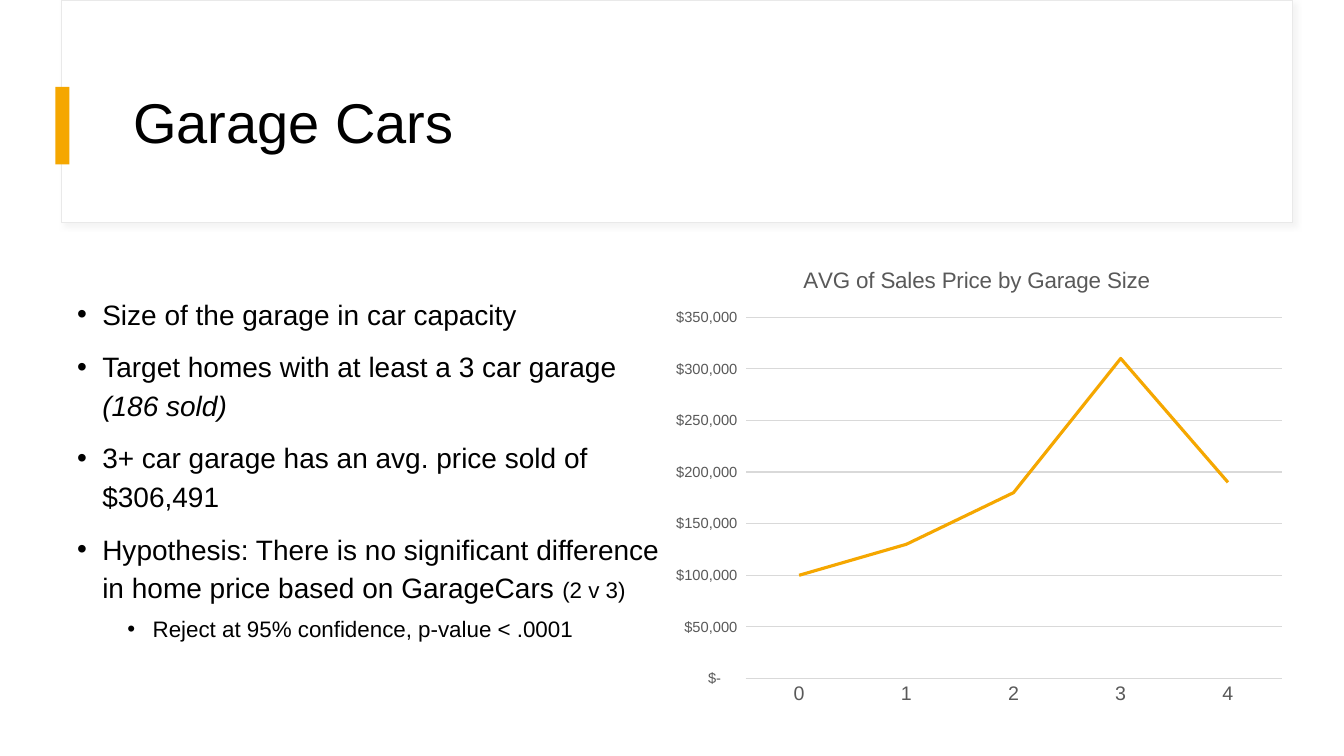
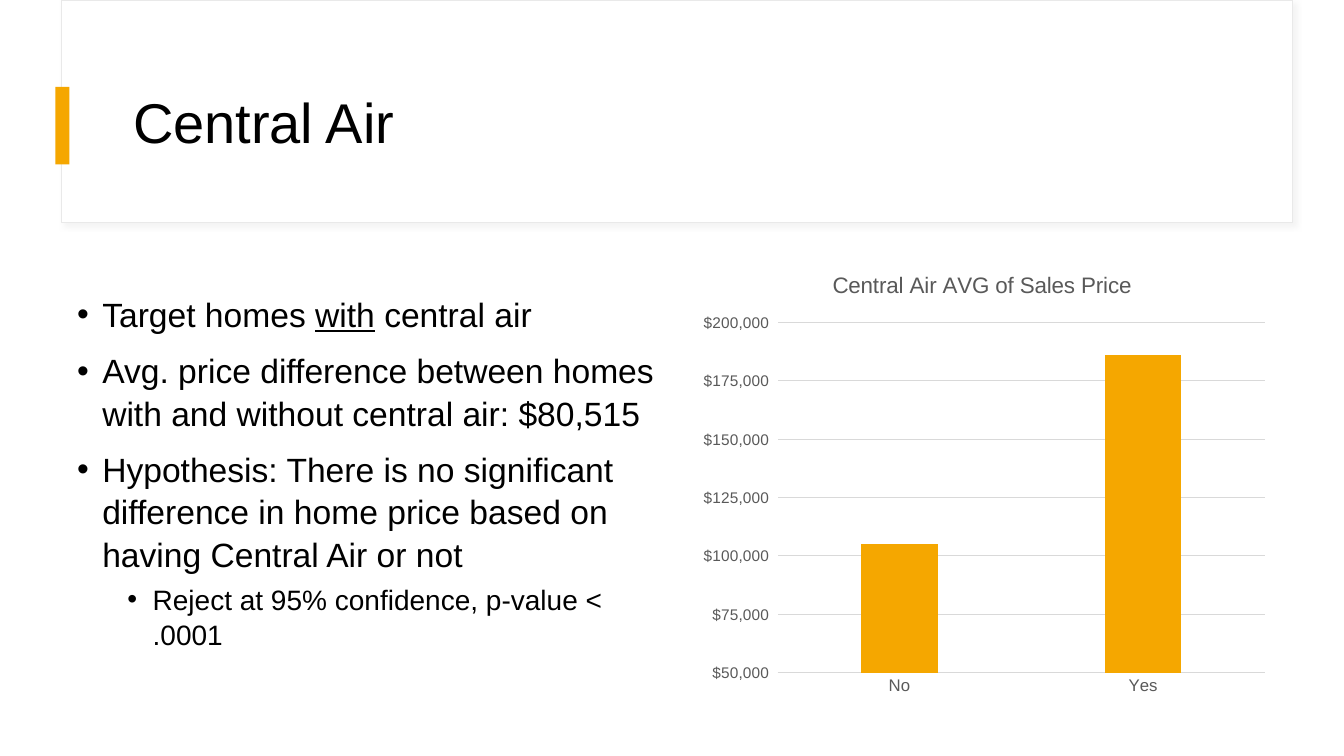
"""Build two slides on how house features relate to average sales price."""
from dataclasses import dataclass

from lxml import etree
from pptx import Presentation
from pptx.chart.data import CategoryChartData
from pptx.dml.color import RGBColor
from pptx.enum.chart import XL_CHART_TYPE, XL_TICK_MARK
from pptx.enum.shapes import MSO_SHAPE
from pptx.enum.text import MSO_ANCHOR
from pptx.oxml import parse_xml
from pptx.oxml.ns import nsdecls, qn
from pptx.util import Pt

LINE = XL_CHART_TYPE.LINE
COLUMN = XL_CHART_TYPE.COLUMN_CLUSTERED
NO_TICK = XL_TICK_MARK.NONE
RECTANGLE = MSO_SHAPE.RECTANGLE
MIDDLE = MSO_ANCHOR.MIDDLE
BLANK_LAYOUT = 6
CURRENCY = '_("$"* #,##0_);_("$"* \\(#,##0\\);_("$"* "-"??_);_(@_)'


@dataclass(frozen=True)
class Theme:
    """Colours, font and type sizes shared by the slides."""

    font: str = "Arial"
    text: RGBColor = RGBColor(0, 0, 0)
    paper: RGBColor = RGBColor(0xFF, 0xFF, 0xFF)
    accent: RGBColor = RGBColor(0xF5, 0xA7, 0x00)
    outline: RGBColor = RGBColor(0xE9, 0xE9, 0xE9)
    grid: RGBColor = RGBColor(0xD9, 0xD9, 0xD9)
    muted: RGBColor = RGBColor(0x59, 0x59, 0x59)
    title_size: float = 40
    large_size: float = 24
    body_size: float = 20
    small_size: float = 16
    chart_title_size: float = 16
    hairline: float = 0.75


THEME = Theme()


@dataclass(frozen=True)
class Bullet:
    """A bullet made of (text, overrides) runs."""

    runs: tuple
    size: float
    level: int = 0


@dataclass(frozen=True)
class ChartContent:
    """The data, frame and axis settings of one chart."""

    kind: int
    title: str
    frame: tuple
    categories: tuple
    values: tuple
    scale: tuple
    category_size: float
    value_size: float


def style_font(font, size, color=THEME.text):
    """Apply the theme font with a size and colour."""
    font.name = THEME.font
    font.size = Pt(size)
    font.color.rgb = color


def style_line(line, color, width=THEME.hairline):
    """Give a line a solid colour and width."""
    line.color.rgb = color
    line.width = Pt(width)


def points(frame):
    """Turn a frame of plain numbers into point lengths."""
    return [Pt(length) for length in frame]


def add_rectangle(slide, frame, fill):
    """Add a plain rectangle without line or shadow."""
    shape = slide.shapes.add_shape(RECTANGLE, *points(frame))
    shape.shadow.inherit = False
    shape.fill.solid()
    shape.fill.fore_color.rgb = fill
    shape.line.fill.background()
    return shape


def add_soft_shadow(shape):
    """Cast a faint shadow to the lower right of a shape."""
    effects = shape._element.spPr.find(qn("a:effectLst"))
    effects.append(parse_xml(
        f'<a:outerShdw {nsdecls("a")} blurRad="{Pt(4)}" dist="{Pt(3)}" '
        f'dir="2700000" algn="tl" rotWithShape="0">'
        f'<a:srgbClr val="{THEME.grid}"><a:alpha val="30000"/></a:srgbClr>'
        f'</a:outerShdw>'))


def add_text_box(slide, frame):
    """Add a wrapping text box and return its text frame."""
    text_frame = slide.shapes.add_textbox(*points(frame)).text_frame
    text_frame.word_wrap = True
    return text_frame


def add_header(slide, title):
    """Add the title band, its accent bar and the title."""
    band = add_rectangle(slide, (44, 0, 879, 159), THEME.paper)
    style_line(band.line, THEME.outline)
    add_soft_shadow(band)
    add_rectangle(slide, (39.5, 62, 10, 55.5), THEME.accent)
    text_frame = add_text_box(slide, (88, 43, 800.5, 93))
    text_frame.vertical_anchor = MIDDLE
    text_frame.text = title
    paragraph = text_frame.paragraphs[0]
    paragraph.line_spacing = 0.9
    style_font(paragraph.runs[0].font, THEME.title_size)


def set_bullet(paragraph, level):
    """Give a paragraph a hanging bullet for its level."""
    paragraph.level = level
    properties = paragraph._p.get_or_add_pPr()
    properties.set("marL", str(Pt(18 + 36 * level)))
    properties.set("indent", str(-Pt(18)))
    etree.SubElement(properties, qn("a:buFont")).set("typeface", THEME.font)
    etree.SubElement(properties, qn("a:buChar")).set("char", "•")


def add_bullets(slide, bullets, line_spacing):
    """Add the bulleted list on the left."""
    text_frame = add_text_box(slide, (48, 205, 432, 291.5))
    for index, bullet in enumerate(bullets):
        paragraph = text_frame.add_paragraph() if index else text_frame.paragraphs[0]
        set_bullet(paragraph, bullet.level)
        paragraph.line_spacing = line_spacing
        if index:
            paragraph.space_before = Pt(5 if bullet.level else 10)
        for text, overrides in bullet.runs:
            run = paragraph.add_run()
            run.text = text
            style_font(run.font, overrides.get("size", bullet.size))
            run.font.italic = overrides.get("italic")
            run.font.underline = overrides.get("underline")


def style_axes(chart, content):
    """Format the category axis, value axis and gridlines."""
    category_axis, value_axis = chart.category_axis, chart.value_axis
    sizes = (content.category_size, content.value_size)
    for axis, size in zip((category_axis, value_axis), sizes):
        axis.major_tick_mark = axis.minor_tick_mark = NO_TICK
        style_font(axis.tick_labels.font, size, THEME.muted)
    style_line(category_axis.format.line, THEME.grid)
    value_axis.format.line.fill.background()
    value_axis.has_major_gridlines = True
    style_line(value_axis.major_gridlines.format.line, THEME.grid)
    value_axis.minimum_scale, value_axis.maximum_scale, value_axis.major_unit = content.scale
    value_axis.tick_labels.number_format = CURRENCY
    value_axis.tick_labels.number_format_is_linked = False


def style_series(plot, kind):
    """Colour the single series as a line or as columns."""
    plot.vary_by_categories = False
    series = plot.series[0]
    if kind == LINE:
        series.smooth = False
        style_line(series.format.line, THEME.accent, 2.25)
    else:
        plot.gap_width = 219
        plot.overlap = -27
        series.format.fill.solid()
        series.format.fill.fore_color.rgb = THEME.accent


def add_price_chart(slide, content):
    """Add a titled chart of average sales prices."""
    data = CategoryChartData()
    data.categories = content.categories
    data.add_series("Series 1", content.values)
    chart = slide.shapes.add_chart(content.kind, *points(content.frame), data).chart
    style_font(chart.font, 10)
    chart.has_legend = False
    chart.has_title = True
    title_frame = chart.chart_title.text_frame
    title_frame.text = content.title
    title_font = title_frame.paragraphs[0].runs[0].font
    style_font(title_font, THEME.chart_title_size, THEME.muted)
    title_font.bold = False
    style_axes(chart, content)
    style_series(chart.plots[0], content.kind)


def add_feature_slide(presentation, title, bullets, line_spacing, chart_content):
    """Add one slide with a header, bullets and a chart."""
    slide = presentation.slides.add_slide(presentation.slide_layouts[BLANK_LAYOUT])
    add_header(slide, title)
    add_bullets(slide, bullets, line_spacing)
    add_price_chart(slide, chart_content)


def main():
    """Build and save the presentation."""
    presentation = Presentation()
    presentation.slide_width, presentation.slide_height = Pt(960), Pt(540)
    conclusion = (("Reject at 95% confidence, p-value < .0001", {}),)
    body, large, small = THEME.body_size, THEME.large_size, THEME.small_size

    garage_bullets = (
        Bullet((("Size of the garage in car capacity", {}),), body),
        Bullet((("Target homes with at least a 3 car garage ", {}),
                ("(186 sold)", {"italic": True})), body),
        Bullet((("3+ car garage has an avg. price sold of $306,491", {}),), body),
        Bullet((("Hypothesis: There is no significant difference in home price "
                 "based on GarageCars ", {}),
                ("(2 v 3)", {"size": small})), body),
        Bullet(conclusion, small, level=1),
    )
    garage_chart = ChartContent(
        LINE, "AVG of Sales Price by Garage Size", (471, 176.5, 453.5, 333.5),
        ("0", "1", "2", "3", "4"), (100000, 130000, 180000, 310000, 190000),
        (0, 350000, 50000), 14, 10.5)
    add_feature_slide(presentation, "Garage Cars", garage_bullets, 1.15, garage_chart)

    air_bullets = (
        Bullet((("Target homes ", {}), ("with", {"underline": True}),
                (" central air", {})), large),
        Bullet((("Avg. price difference between homes with and without "
                 "central air: $80,515", {}),), large),
        Bullet((("Hypothesis: There is no significant difference in home price "
                 "based on having Central Air or not", {}),), large),
        Bullet(conclusion, body, level=1),
    )
    air_chart = ChartContent(
        COLUMN, "Central Air AVG of Sales Price", (491, 180.5, 421, 322),
        ("No", "Yes"), (105000, 186000), (50000, 200000, 25000), 12, 11)
    add_feature_slide(presentation, "Central Air", air_bullets, 1.05, air_chart)

    presentation.save("out.pptx")


if __name__ == "__main__":
    main()
